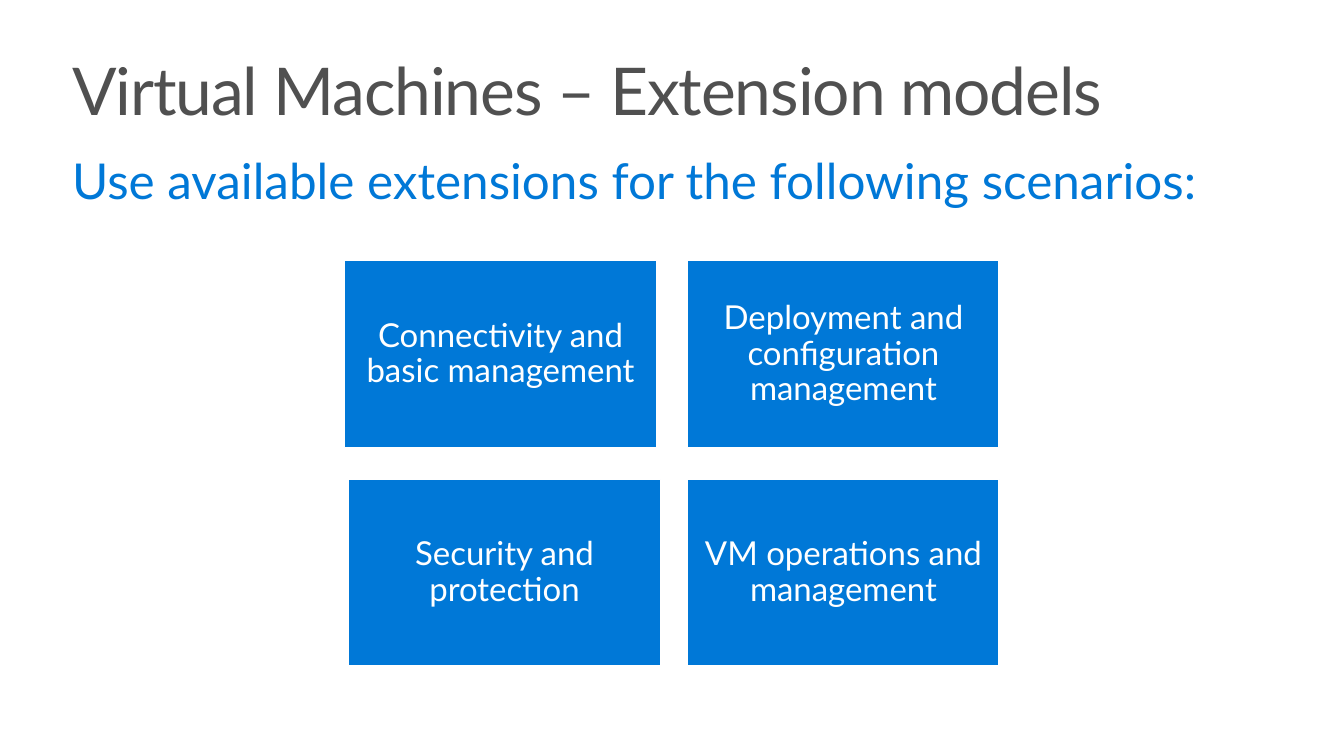
"""Build the slide on virtual machine extension models."""
from dataclasses import dataclass

from pptx import Presentation
from pptx.dml.color import RGBColor as RGB
from pptx.enum.shapes import MSO_SHAPE as Shape
from pptx.enum.text import MSO_ANCHOR as Anchor, MSO_AUTO_SIZE as Fit, PP_ALIGN as Align
from pptx.oxml.xmlchemy import OxmlElement as Element
from pptx.util import Inches, Pt

TITLE = "Virtual Machines – Extension models"
LEAD = "Use available extensions for the following scenarios:"
TILES = [
    [("Connectivity and basic management", 3.49), ("Deployment and configuration management", 6.96)],
    [("Security and protection", 3.53), ("VM operations and management", 6.96)],
]
TOP, WIDTH, HEIGHT, GAP = 2.64, 3.15, 1.89, 0.32


@dataclass(frozen=True)
class Theme:
    """Hold the colours and type sizes."""
    font: str = "Lato"
    blue: RGB = RGB(0x00, 0x78, 0xD7)
    grey: RGB = RGB(0x50, 0x50, 0x50)
    white: RGB = RGB(0xFF, 0xFF, 0xFF)
    title: int = 48
    lead: int = 36
    tile: int = 24


THEME = Theme()


def place(shape, left, top, width, height):
    """Move and size a shape, in inches."""
    shape.left, shape.top = Inches(left), Inches(top)
    shape.width, shape.height = Inches(width), Inches(height)


def write(shape, text, size, color, align, anchor, side):
    """Write one formatted paragraph and return it with its run."""
    frame = shape.text_frame
    frame.word_wrap, frame.auto_size = True, Fit.NONE
    frame.vertical_anchor = anchor
    frame.margin_left = frame.margin_right = Inches(side)
    frame.margin_top = frame.margin_bottom = Inches(0.1)
    para = frame.paragraphs[0]
    para.alignment, para.line_spacing = align, 0.9
    para.space_before = Pt(0)
    run = para.add_run()
    run.text = text
    font = run.font
    font.name, font.size = THEME.font, Pt(size)
    font.color.rgb = color
    return para, run


def add_tile(slide, text, left, top):
    """Add one blue scenario tile."""
    tile = slide.shapes.add_shape(
        Shape.RECTANGLE, Inches(left), Inches(top), Inches(WIDTH), Inches(HEIGHT))
    tile.shadow.inherit = False
    tile.fill.solid()
    tile.fill.fore_color.rgb = THEME.blue
    tile.line.color.rgb = THEME.white
    tile.line.width = Pt(0.85)
    write(tile, text, THEME.tile, THEME.white, Align.CENTER, Anchor.MIDDLE, 0.1)


def main():
    """Build and save the slide."""
    deck = Presentation()
    deck.slide_width, deck.slide_height = Inches(13.6), Inches(7.65)
    slide = deck.slides.add_slide(deck.slide_layouts[1])

    title, lead = slide.placeholders
    place(title, 0.57, 0.49, 12.8, 1)
    _, run = write(title, TITLE, THEME.title, THEME.grey, Align.LEFT, Anchor.TOP, 0.16)
    run.font._element.set("spc", "-80")

    place(lead, 0.57, 1.49, 12.48, 0.75)
    para, _ = write(lead, LEAD, THEME.lead, THEME.blue, Align.LEFT, Anchor.TOP, 0.16)
    props = para._p.get_or_add_pPr()
    props.set("marL", "0")
    props.set("indent", "0")
    props.append(Element("a:buNone"))

    for row, tiles in enumerate(TILES):
        for text, left in tiles:
            add_tile(slide, text, left, TOP + row * (HEIGHT + GAP))

    deck.save("out.pptx")


if __name__ == "__main__":
    main()
